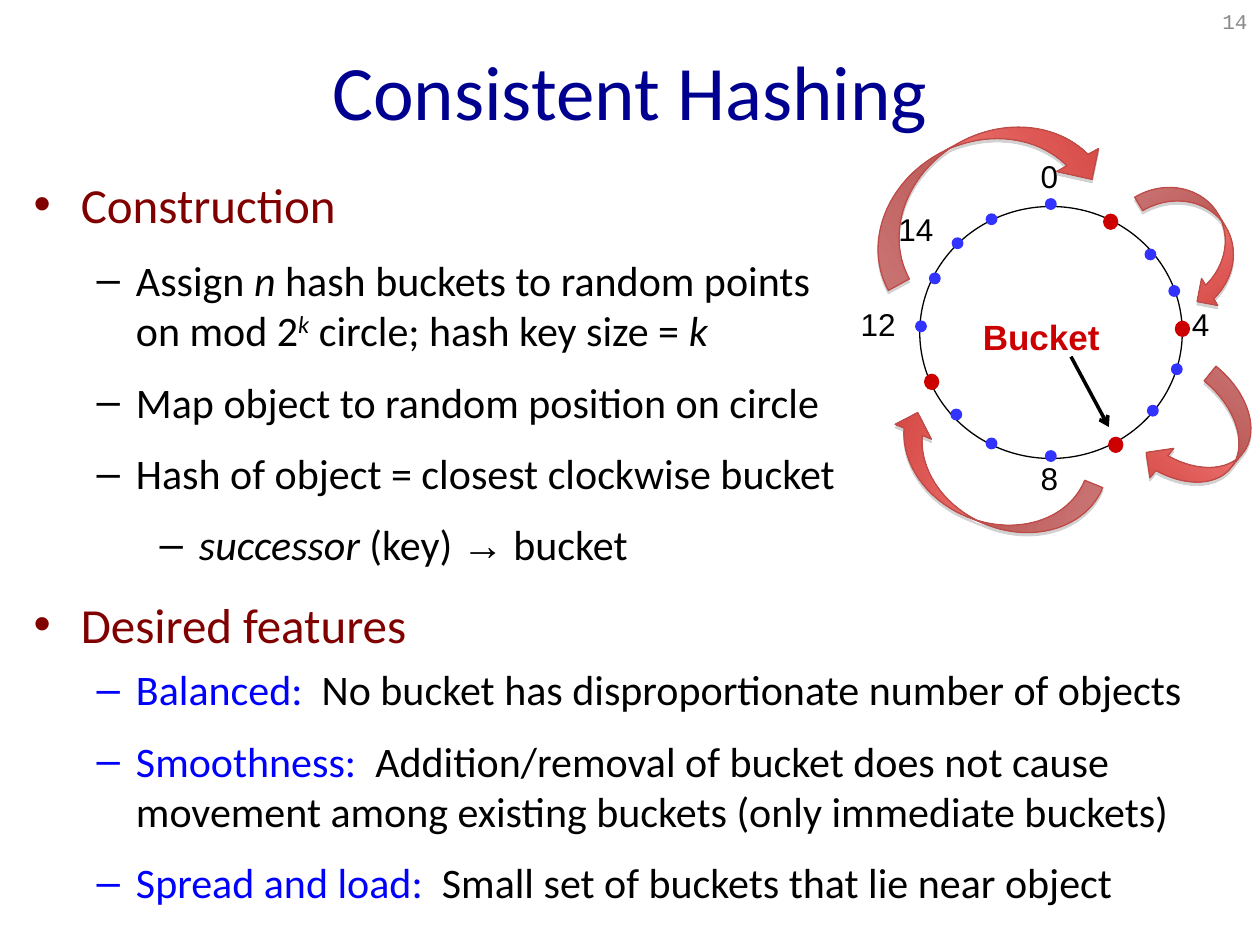
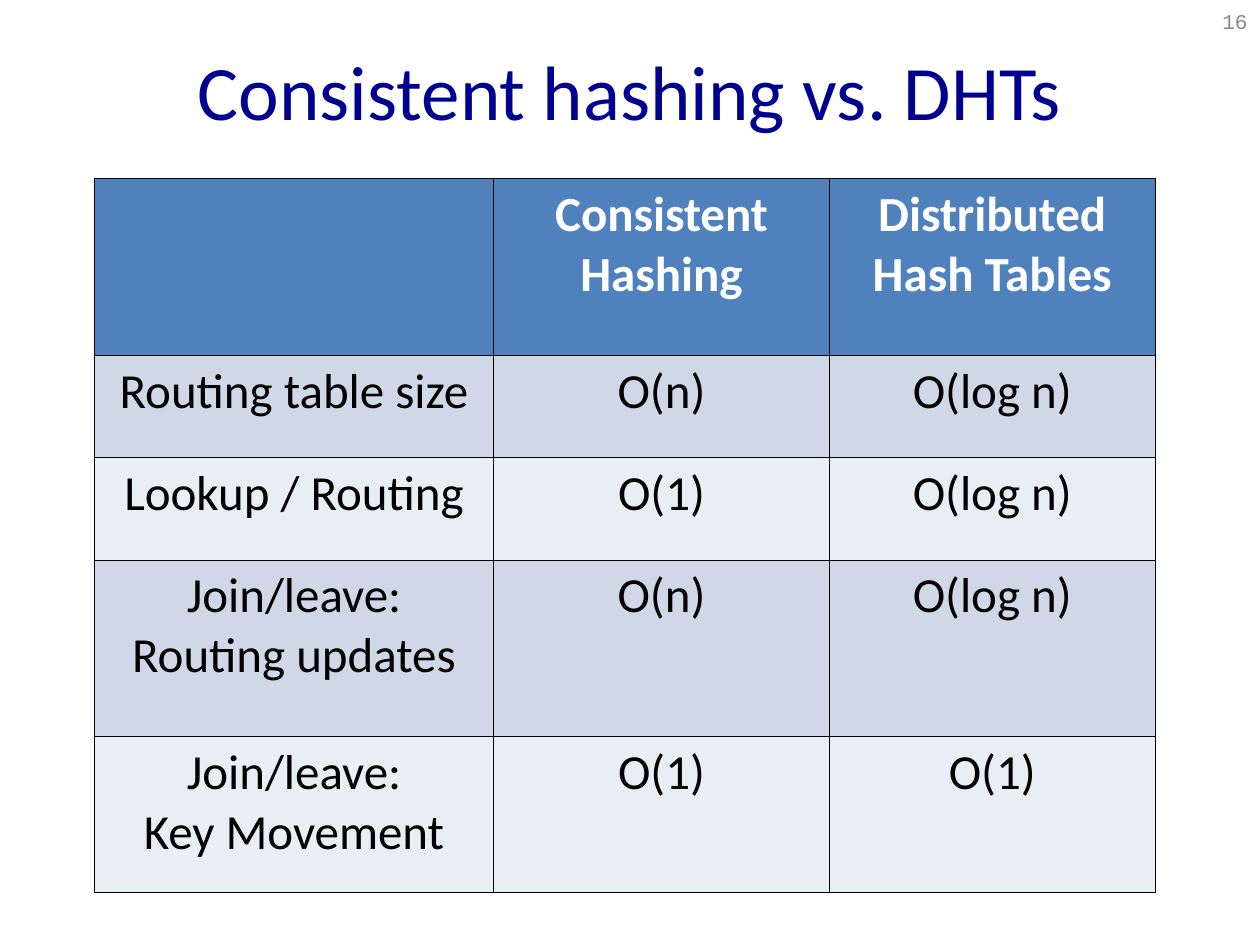
from lxml import etree
from pptx import Presentation
from pptx.dml.color import RGBColor
from pptx.enum.shapes import MSO_CONNECTOR, MSO_SHAPE
from pptx.enum.text import MSO_ANCHOR, MSO_AUTO_SIZE, PP_ALIGN
from pptx.oxml.ns import qn
from pptx.util import Pt

# Shared colours and fonts
NAVY = RGBColor(0x00, 0x00, 0x90)
MAROON = RGBColor(0x80, 0x00, 0x00)
BLUE = RGBColor(0x00, 0x00, 0xFF)
BLACK = RGBColor(0x00, 0x00, 0x00)
WHITE = RGBColor(0xFF, 0xFF, 0xFF)
GREY = RGBColor(0x89, 0x89, 0x89)
DOT_BLUE = RGBColor(0x33, 0x33, 0xFF)
BUCKET_RED = RGBColor(0xCC, 0x00, 0x00)
ARROW_LIGHT = RGBColor(0xFF, 0x9A, 0x99)
ARROW_DARK = RGBColor(0xD1, 0x40, 0x3C)
ARROW_EDGE = RGBColor(0xBE, 0x4B, 0x48)
SHADOW_GREY = RGBColor(0x80, 0x80, 0x80)
HEADER_BLUE = RGBColor(0x4F, 0x81, 0xBD)
BANDS = (RGBColor(0xD0, 0xD8, 0xE8), RGBColor(0xE9, 0xED, 0xF4))
BODY_FONT, LABEL_FONT, NUMBER_FONT = "Calibri", "Arial", "Courier New"

# List content: (level, bullet colour, [(text, style), ...])
CONSTRUCTION = [
    (0, MAROON, [("Construction", "")]),
    (1, BLACK, [("Assign ", ""), ("n", "italic"),
                (" hash buckets to random points on mod 2", ""), ("k", "power"),
                (" circle; hash key size = ", ""), ("k", "italic")]),
    (1, BLACK, [("Map object to random position on circle", "")]),
    (1, BLACK, [("Hash of object = closest clockwise bucket", "")]),
    (2, BLACK, [("successor ", "italic"), ("(key) ", ""), ("→", "symbol"), (" bucket", "")]),
]
FEATURES = [(0, MAROON, [("Desired features", "")])] + [
    (1, BLUE, [(name + ":  ", "term"), (meaning, "")])
    for name, meaning in (
        ("Balanced", "No bucket has disproportionate number of objects"),
        ("Smoothness", "Addition/removal of bucket does not cause movement among "
                       "existing buckets (only immediate buckets)"),
        ("Spread and load", "Small set of buckets that lie near object"),
    )
]
# Per level: left margin, hanging indent, size, space before, bullet
LEVELS = [(27, 27, 28, 7, "•"), (58.5, 22.5, 24, 6, "–"), (94.5, 22.5, 24, 6, "–")]

# Hash circle: centres of positions 0 to 15, clockwise
CIRCLE = (525.6, 118, 150, 144)
POSITIONS = [
    (600.5, 116.6), (634.7, 126.7), (657.4, 145.4), (671, 166.3),
    (675.7, 187.9), (672.5, 211), (658.8, 234.7), (637.6, 254.2),
    (600.5, 260.6), (566.6, 253.4), (546.5, 236.9), (532.4, 218.2),
    (526.3, 186.5), (534.2, 159.1), (547.2, 139), (566.6, 125.3),
]
BUCKETS = {1, 4, 7, 11}
# Labels: text, box, size, space before, colour
LABELS = [
    ("0", (594.7, 90, 12.3, 21.6), 18, 11.2, BLACK),
    ("4", (681.1, 174.2, 12.3, 21.6), 18, 11.2, BLACK),
    ("8", (594.7, 262.1, 12.3, 21.6), 18, 11.2, BLACK),
    ("12", (491.8, 174.2, 33, 21.6), 18, 11.2, BLACK),
    ("14", (513.4, 120.2, 30.2, 21.6), 18, 11.2, BLACK),
    ("Bucket", (561.6, 180, 72, 24), 20, 12.5, BUCKET_RED),
]
# Arrows to the next bucket: box, rotation
SUCCESSOR_ARROWS = [
    ((666.7, 214.6, 43.2, 74.2), 39),
    ((541.4, 213.1, 44.6, 125.3), 112.1),
    ((666, 97.9, 36, 78.5), 329.1),
    ((531.4, 33.8, 54.7, 146.2), 241.4),
]

# Comparison table
COMPARISON = [
    ("", "Consistent Hashing", "Distributed Hash Tables"),
    ("Routing table size", "O(n)", "O(log n)"),
    ("Lookup / Routing", "O(1)", "O(log n)"),
    ("Join/leave: Routing updates", "O(n)", "O(log n)"),
    ("Join/leave:\nKey Movement", "O(1)", "O(1)"),
]
COLUMN_WIDTHS = (228, 192, 186)
ROW_HEIGHTS = (101, 58.5, 58.5, 101, 89)


def points(*lengths):
    return [Pt(length) for length in lengths]


def set_font(span, name, size, color, bold=False):
    span.font.name, span.font.size, span.font.bold = name, Pt(size), bold
    span.font.color.rgb = color


def place(shape, box):
    shape.left, shape.top, shape.width, shape.height = points(*box)


def add_xml(parent, tag, **attributes):
    return etree.SubElement(parent, qn(tag), attributes)


def add_color(parent, color):
    return add_xml(add_xml(parent, "a:solidFill"), "a:srgbClr", val=str(color))


def add_page(deck, layout, title, number):
    """Add a slide with the shared title and page number."""
    page = deck.slides.add_slide(deck.slide_layouts[layout])
    place(page.shapes.title, (36, 6, 648, 90))
    page.shapes.title.text_frame.text = title
    para = page.shapes.title.text_frame.paragraphs[0]
    para.alignment = PP_ALIGN.CENTER
    set_font(para.runs[0], BODY_FONT, 44, NAVY)
    para = add_label(page, number, (547.2, -6, 172.8, 36), NUMBER_FONT, 12, GREY,
                     margins=(7.2, 3.6), anchor=MSO_ANCHOR.MIDDLE)
    para.alignment = PP_ALIGN.RIGHT
    return page


def add_label(page, text, box, font, size, color, bold=False,
              margins=(0, 0), anchor=MSO_ANCHOR.TOP):
    frame = page.shapes.add_textbox(*points(*box)).text_frame
    frame.word_wrap, frame.vertical_anchor = True, anchor
    frame.margin_left = frame.margin_right = Pt(margins[0])
    frame.margin_top = frame.margin_bottom = Pt(margins[1])
    frame.text = text
    set_font(frame.paragraphs[0].runs[0], font, size, color, bold)
    return frame.paragraphs[0]


def fill_list(placeholder, items, box, heading_gap):
    place(placeholder, box)
    frame = placeholder.text_frame
    frame.auto_size = MSO_AUTO_SIZE.NONE
    for index, (level, bullet_color, spans) in enumerate(items):
        margin, hang, size, before, bullet = LEVELS[level]
        para = frame.add_paragraph() if index else frame.paragraphs[0]
        para.level = level
        para.space_before = Pt(before)
        para.space_after = Pt(6 if level else heading_gap)
        properties = para._p.get_or_add_pPr()
        properties.set("marL", str(Pt(margin)))
        properties.set("indent", str(-Pt(hang)))
        add_xml(add_xml(properties, "a:buClr"), "a:srgbClr", val=str(bullet_color))
        add_xml(properties, "a:buFont", typeface=LABEL_FONT)
        add_xml(properties, "a:buChar", char=bullet)
        for text, style in spans:
            span = para.add_run()
            span.text = text
            color = BLUE if style == "term" else BLACK if level else MAROON
            set_font(span, LABEL_FONT if style == "symbol" else BODY_FONT, size, color)
            span.font.italic = style in ("italic", "power")
            if style == "power":
                span._r.get_or_add_rPr().set("baseline", "30000")


def add_ellipse(page, box, line, fill=None):
    shape = page.shapes.add_shape(MSO_SHAPE.OVAL, *points(*box))
    shape.shadow.inherit = False
    if fill is None:
        shape.fill.background()
    else:
        shape.fill.solid()
        shape.fill.fore_color.rgb = fill
    shape.line.color.rgb, shape.line.width = line, Pt(0.75)


def add_successor_arrow(page, box, rotation):
    arrow = page.shapes.add_shape(MSO_SHAPE.CURVED_LEFT_ARROW, *points(*box))
    arrow.rotation = rotation
    arrow.fill.gradient()
    arrow.fill.gradient_angle = 270
    for stop, color, position in zip(arrow.fill.gradient_stops,
                                     (ARROW_LIGHT, ARROW_DARK), (0, 1)):
        stop.color.rgb, stop.position = color, position
    arrow.line.color.rgb, arrow.line.width = ARROW_EDGE, Pt(0.75)
    effects = add_xml(arrow._element.spPr, "a:effectLst")
    shadow = add_xml(effects, "a:outerShdw", blurRad="0", dist=str(Pt(1.8)),
                     dir="5400000", rotWithShape="0")
    add_xml(add_xml(shadow, "a:srgbClr", val=str(SHADOW_GREY)), "a:alpha", val="35000")


def draw_hash_circle(page):
    add_ellipse(page, CIRCLE, BLACK)
    for position, (x, y) in enumerate(POSITIONS):
        if position in BUCKETS:
            width, height, color = 8, 8.6, BUCKET_RED
        else:
            width, height, color = 6, 6, DOT_BLUE
        add_ellipse(page, (x - width / 2, y - height / 2, width, height), color, color)
    for text, box, size, before, color in LABELS:
        para = add_label(page, text, box, LABEL_FONT, size, color, color == BUCKET_RED)
        para.space_before = Pt(before)
    # Pointer from the word to one bucket
    pointer = page.shapes.add_connector(MSO_CONNECTOR.STRAIGHT,
                                        *points(612, 203.8, 633.6, 244))
    pointer.line.color.rgb, pointer.line.width = BLACK, Pt(2)
    add_xml(pointer.line._get_or_add_ln(), "a:tailEnd", type="arrow")
    add_xml(pointer._element.spPr, "a:effectLst")
    for box, rotation in SUCCESSOR_ARROWS:
        add_successor_arrow(page, box, rotation)


def format_cell(cell, text, fill, color, bold):
    properties = cell._tc.get_or_add_tcPr()
    for side in ("a:lnL", "a:lnR", "a:lnT", "a:lnB"):
        add_color(add_xml(properties, side, w=str(Pt(0.45))), BLACK)
    cell.fill.solid()
    cell.fill.fore_color.rgb = fill
    cell.text_frame.text = text
    for para in cell.text_frame.paragraphs:
        para.alignment = PP_ALIGN.CENTER
        for span in para.runs:
            set_font(span, BODY_FONT, 28, color, bold)


def draw_comparison(page):
    table = page.shapes.add_table(
        len(ROW_HEIGHTS), len(COLUMN_WIDTHS),
        *points(54, 102, sum(COLUMN_WIDTHS), sum(ROW_HEIGHTS))).table
    table.first_row = table.horz_banding = False
    for column, width in zip(table.columns, COLUMN_WIDTHS):
        column.width = Pt(width)
    for index, (row, height) in enumerate(zip(table.rows, ROW_HEIGHTS)):
        row.height = Pt(height)
        header = index == 0
        fill = HEADER_BLUE if header else BANDS[(index - 1) % 2]
        for cell, text in zip(row.cells, COMPARISON[index]):
            format_cell(cell, text, fill, WHITE if header else BLACK, header)


def main():
    deck = Presentation()
    deck.slide_width, deck.slide_height = points(720, 540)

    # Consistent hashing: two lists and the circle
    page = add_page(deck, 3, "Consistent Hashing", "14")
    fill_list(page.placeholders[1], CONSTRUCTION, (12, 96, 474, 228), 6)
    fill_list(page.placeholders[2], FEATURES, (12, 336, 672, 198), 0)
    draw_hash_circle(page)

    # Comparison with distributed hash tables
    page = add_page(deck, 5, "Consistent hashing vs. DHTs", "16")
    draw_comparison(page)

    deck.save("out.pptx")


if __name__ == "__main__":
    main()
